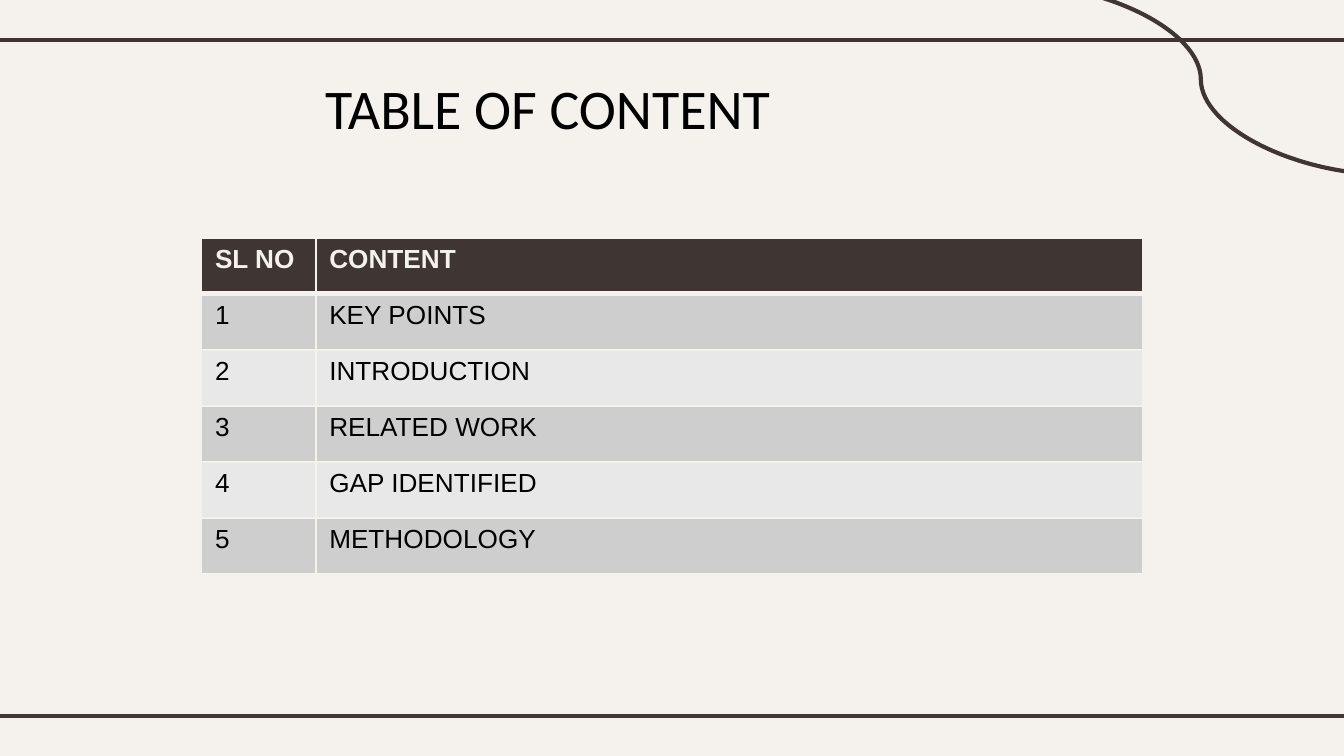
from dataclasses import dataclass
from lxml import etree
from pptx import Presentation
from pptx.dml.color import RGBColor
from pptx.enum.shapes import MSO_CONNECTOR
from pptx.enum.text import MSO_ANCHOR, PP_ALIGN
from pptx.oxml.ns import qn
from pptx.util import Inches, Pt

STRAIGHT, CURVE = MSO_CONNECTOR.STRAIGHT, MSO_CONNECTOR.CURVE
TOP, LEFT = MSO_ANCHOR.TOP, PP_ALIGN.LEFT


@dataclass(frozen=True)
class Theme:
    paper: str = "F5F2EE"
    dark: str = "3F3533"
    ink: str = "000000"
    bands: tuple = ("CFCECE", "E8E8E8")
    title_font: str = "Calibri"
    body_font: str = "Arial"
    title_size: int = 30
    body_size: int = 14
    rule: float = 2.25
    border: int = 1
    header_border: int = 3


def write(tf, text, font, size, color, bold=False):
    p = tf.paragraphs[0]
    p.alignment = LEFT
    r = p.add_run()
    r.text = text
    r.font.name = font
    r.font.size = Pt(size)
    r.font.bold = bold
    r.font.color.rgb = RGBColor.from_string(color)


def set_borders(cell, color, **widths):
    tc_pr = cell._tc.get_or_add_tcPr()
    for i, (side, width) in enumerate(widths.items()):
        ln = etree.Element(qn("a:ln" + side), w=str(Pt(width)))
        fill = etree.SubElement(ln, qn("a:solidFill"))
        etree.SubElement(fill, qn("a:srgbClr"), val=color)
        tc_pr.insert(i, ln)


theme = Theme()
prs = Presentation()
prs.slide_width, prs.slide_height = Inches(10), Inches(5.625)
W, H = prs.slide_width, prs.slide_height
s = prs.slides.add_slide(prs.slide_layouts[6])
s.background.fill.solid()
s.background.fill.fore_color.rgb = RGBColor.from_string(theme.paper)

bleed = Inches(0.08)
top_rule, bottom_rule = Inches(0.3), H - Inches(0.3)
lines = [
    (STRAIGHT, -bleed, top_rule, W + bleed, top_rule),
    (STRAIGHT, -bleed, bottom_rule, W + bleed, bottom_rule),
    (CURVE, Inches(7.53), Inches(-0.12), Inches(10.34), Inches(1.3)),
]
for kind, *ends in lines:
    line = s.shapes.add_connector(kind, *ends)
    line.line.color.rgb = RGBColor.from_string(theme.dark)
    line.line.width = Pt(theme.rule)
    etree.SubElement(line._element.spPr, qn("a:effectLst"))

title = s.shapes.add_textbox(Inches(2.32), Inches(0.45), Inches(5.15), Inches(0.63))
tf = title.text_frame
tf.word_wrap = True
tf.vertical_anchor = TOP
tf.margin_left = tf.margin_right = tf.margin_top = tf.margin_bottom = Inches(0.1)
write(tf, "TABLE OF CONTENT", theme.title_font, theme.title_size, theme.ink)

topics = ["KEY POINTS", "INTRODUCTION", "RELATED WORK", "GAP IDENTIFIED", "METHODOLOGY"]
rows = [("SL NO", "CONTENT")] + [(str(n), topic) for n, topic in enumerate(topics, 1)]
col_widths = [Inches(0.85), Inches(6.15)]
row_height = Inches(2.5) // len(rows)
frame = s.shapes.add_table(len(rows), len(col_widths), int(W * 0.15), Inches(1.77),
                           sum(col_widths), row_height * len(rows))
table = frame.table
for column, width in zip(table.columns, col_widths):
    column.width = width

for i, row in enumerate(rows):
    table.rows[i].height = row_height
    header = i == 0
    fill = theme.dark if header else theme.bands[(i - 1) % 2]
    color = theme.paper if header else theme.ink
    above = theme.header_border if i == 1 else theme.border
    below = theme.header_border if header else theme.border
    for j, text in enumerate(row):
        cell = table.cell(i, j)
        cell.fill.solid()
        cell.fill.fore_color.rgb = RGBColor.from_string(fill)
        write(cell.text_frame, text, theme.body_font, theme.body_size, color, bold=header)
        set_borders(cell, theme.paper, L=theme.border, R=theme.border, T=above, B=below)

prs.save("out.pptx")
